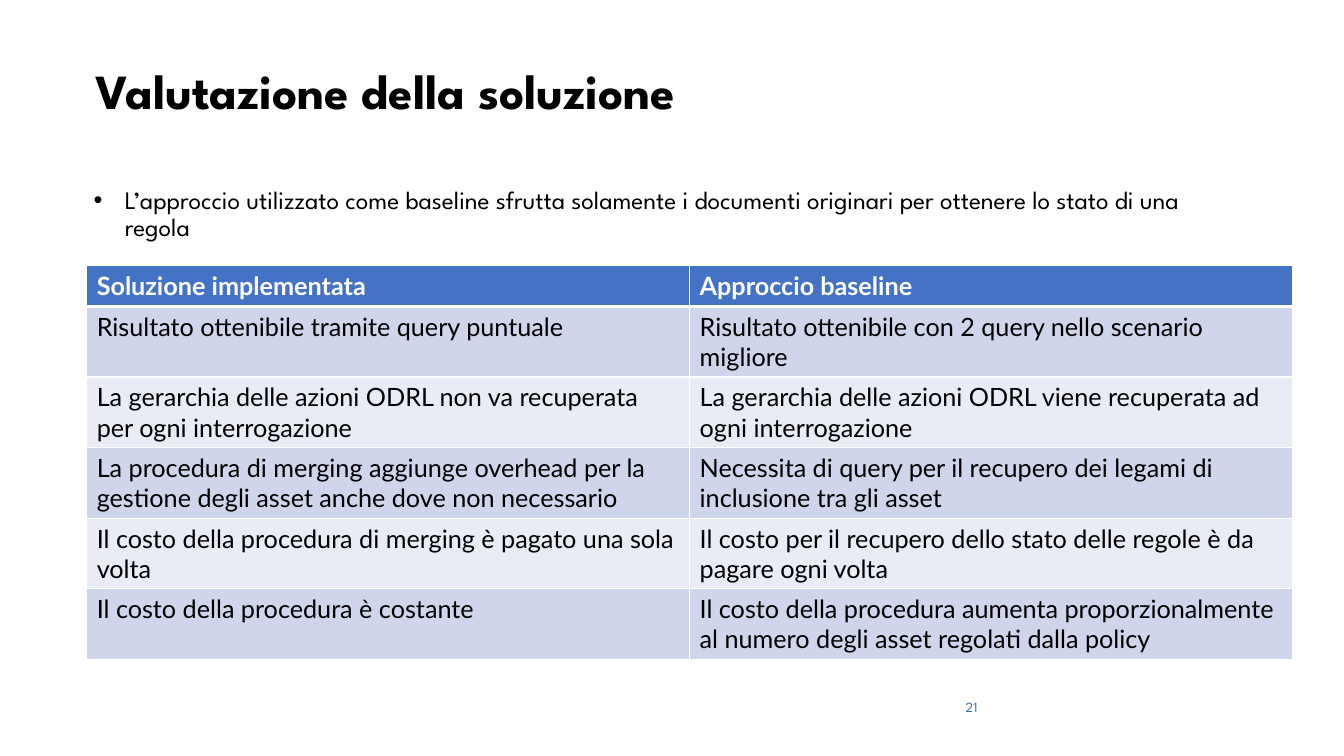
from typing import NamedTuple

from lxml import etree
from pptx import Presentation
from pptx import util as u
from pptx.dml.color import RGBColor
from pptx.enum import text
from pptx.oxml import ns

EMU_PER_PX = 9144  # 100 px to the inch
COLORS = {
    "black": "000000",
    "white": "FFFFFF",
    "number": "426EB0",
    "header": "4472C4",
    "odd": "CFD5EA",
    "even": "E9EBF5",
}
HEADING_FONT, TABLE_FONT = "League Spartan", "Lato"


class Area(NamedTuple):
    left: int
    top: int
    width: int
    height: int


class Words(NamedTuple):
    content: str
    size: int
    color: str
    font: str = HEADING_FONT
    bold: bool = False
    line_spacing: float = 1.0
    bulleted: bool = False


class Comparison(NamedTuple):
    solution: str
    baseline: str


TITLE_AREA = Area(85, 62, 1165, 109)
BODY_AREA = Area(83, 181, 1165, 392)
NUMBER_AREA = Area(948, 688, 300, 40)
TABLE_AREA = Area(86, 263, 1196, 246)

TITLE = Words("Valutazione della soluzione", 35, "black", bold=True, line_spacing=0.9)
BODY = Words(
    "L’approccio utilizzato come baseline sfrutta solamente i documenti originari "
    "per ottenere lo stato di una regola",
    18, "black", line_spacing=0.9, bulleted=True,
)
NUMBER = Words("21", 10, "number")
COMPARISONS = [
    Comparison("Soluzione implementata", "Approccio baseline"),
    Comparison("Risultato ottenibile tramite query puntuale",
               "Risultato ottenibile con 2 query nello scenario migliore"),
    Comparison("La gerarchia delle azioni ODRL non va recuperata per ogni interrogazione",
               "La gerarchia delle azioni ODRL viene recuperata ad ogni interrogazione"),
    Comparison("La procedura di merging aggiunge overhead per la gestione degli asset "
               "anche dove non necessario",
               "Necessita di query per il recupero dei legami di inclusione tra gli asset"),
    Comparison("Il costo della procedura di merging è pagato una sola volta",
               "Il costo per il recupero dello stato delle regole è da pagare ogni volta"),
    Comparison("Il costo della procedura è costante",
               "Il costo della procedura aumenta proporzionalmente al numero degli asset "
               "regolati dalla policy"),
]


def px(length: int) -> int:
    return u.Emu(length * EMU_PER_PX)


def emu(area: Area) -> list[int]:
    return [px(length) for length in area]


def add_bullet(para) -> None:
    properties = para._p.get_or_add_pPr()
    properties.set("marL", str(px(31)))
    properties.set("indent", str(px(-31)))
    etree.SubElement(properties, ns.qn("a:buFont"), typeface="Arial")
    etree.SubElement(properties, ns.qn("a:buChar"), char="•")


def write(frame, words: Words) -> None:
    para = frame.paragraphs[0]
    if words.bulleted:
        add_bullet(para)
    para.alignment = text.PP_ALIGN.LEFT
    para.line_spacing = words.line_spacing
    span = para.add_run()
    span.text = words.content
    formats = {"name": words.font, "size": u.Pt(words.size), "bold": words.bold}
    for name, value in formats.items():
        setattr(span.font, name, value)
    span.font.color.rgb = RGBColor.from_string(COLORS[words.color])


def fill_box(box, area: Area, words: Words) -> None:
    for name, value in zip(Area._fields, emu(area)):
        setattr(box, name, value)
    formats = {
        "word_wrap": True,
        "auto_size": text.MSO_AUTO_SIZE.NONE,
        "vertical_anchor": text.MSO_ANCHOR.TOP,
    }
    for name, value in formats.items():
        setattr(box.text_frame, name, value)
    write(box.text_frame, words)


def add_borders(cell, widths: dict[str, int]) -> None:
    """Draw white borders, with widths in points by side (L, R, T, B)."""
    properties = cell._tc.get_or_add_tcPr()
    for side, width in widths.items():
        line = etree.SubElement(properties, ns.qn(f"a:ln{side}"), w=str(u.Pt(width)))
        fill = etree.SubElement(line, ns.qn("a:solidFill"))
        etree.SubElement(fill, ns.qn("a:srgbClr"), val=COLORS["white"])


def add_comparison_table(page) -> None:
    table = page.shapes.add_table(
        len(COMPARISONS), len(Comparison._fields), *emu(TABLE_AREA)
    ).table
    for row, comparison in enumerate(COMPARISONS):
        is_header = row == 0
        background = "header" if is_header else "odd" if row % 2 else "even"
        widths = {"L": 1, "R": 1, "T": 3 if row == 1 else 1, "B": 3 if is_header else 1}
        for column, content in enumerate(comparison):
            cell = table.cell(row, column)
            add_borders(cell, widths)
            cell.fill.solid()
            cell.fill.fore_color.rgb = RGBColor.from_string(COLORS[background])
            color = "white" if is_header else "black"
            write(cell.text_frame, Words(content, 18, color, TABLE_FONT, is_header))


def main() -> None:
    deck = Presentation()
    deck.slide_width, deck.slide_height = px(1333), px(750)
    page = deck.slides.add_slide(deck.slide_layouts[5])
    fill_box(page.shapes.title, TITLE_AREA, TITLE)
    for area, words in ((BODY_AREA, BODY), (NUMBER_AREA, NUMBER)):
        fill_box(page.shapes.add_textbox(*emu(area)), area, words)
    add_comparison_table(page)
    deck.save("out.pptx")


if __name__ == "__main__":
    main()
